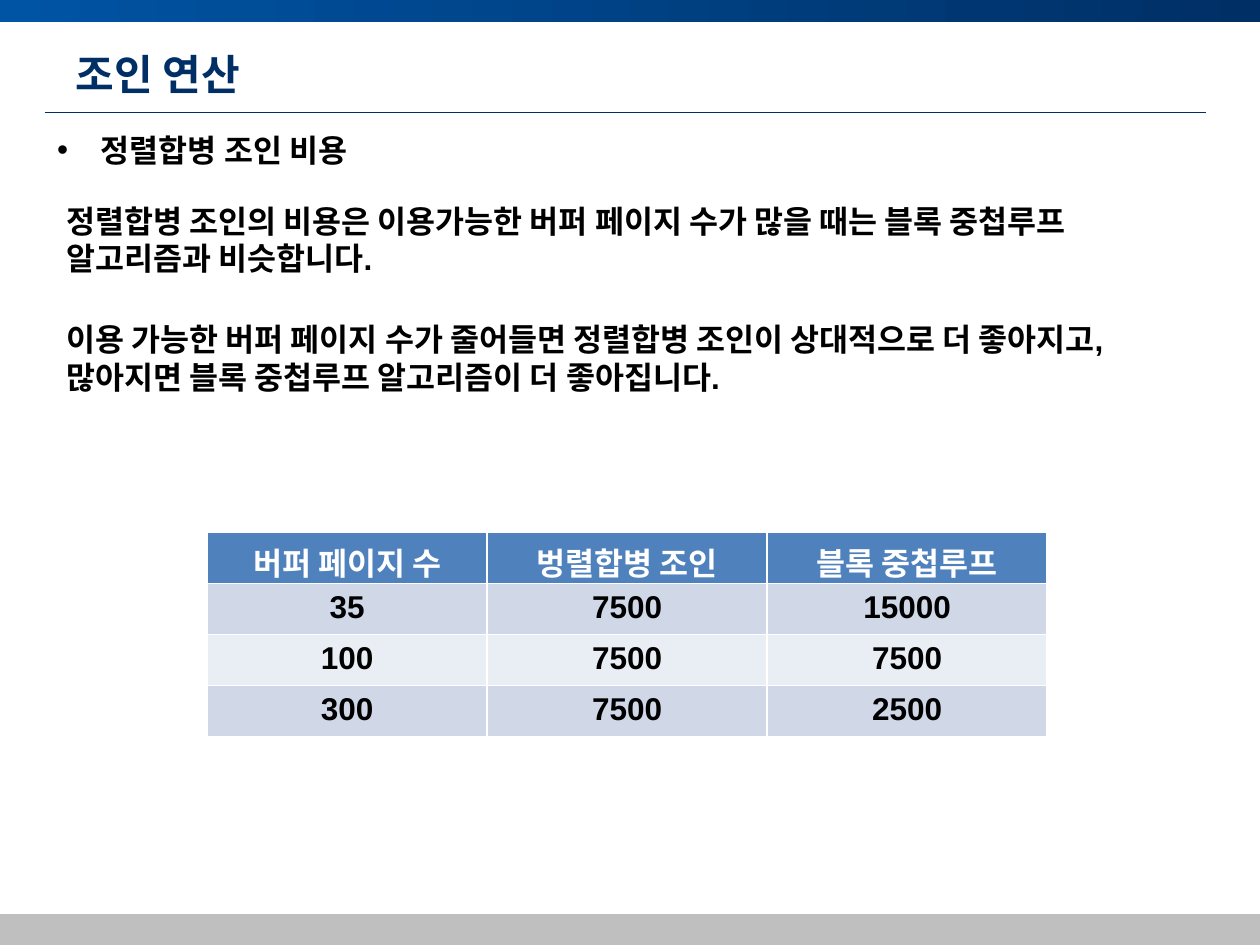
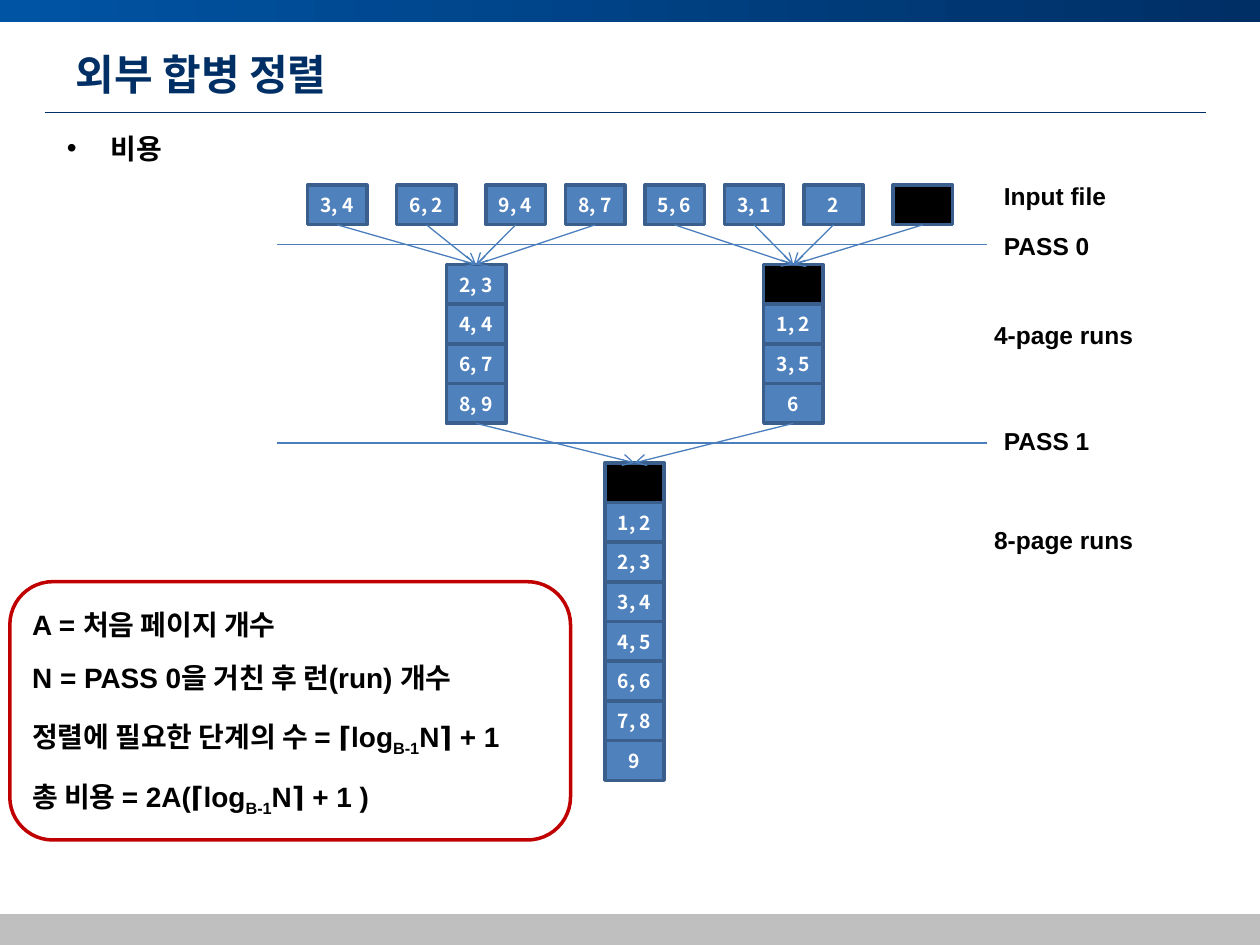
from itertools import accumulate

from lxml import etree
from pptx import Presentation
from pptx.dml.color import RGBColor
from pptx.enum import shapes, text
from pptx.oxml import ns
from pptx.util import Pt

COLORS = {
    "navy": "002F65", "blue": "0054A4", "footer": "BFBFBF",
    "black": "000000", "white": "FFFFFF", "page": "4F81BD",
    "page_edge": "3A5F8C", "link": "4B7EBC", "red": "C00000",
    "row_dark": "D0D8E8", "row_light": "E9EDF4",
}
LATIN, KOREAN = "Arial", "Noto Sans CJK KR"

JOIN = {
    "title": "조인 연산",
    "bullet": "정렬합병 조인 비용",
    "paragraphs": [
        (111.6, "정렬합병 조인의 비용은 이용가능한 버퍼 페이지 수가 많을 때는 블록 중첩루프 알고리즘과 비슷합니다."),
        (179.3, "이용 가능한 버퍼 페이지 수가 줄어들면 정렬합병 조인이 상대적으로 더 좋아지고, 많아지면 블록 중첩루프 알고리즘이 더 좋아집니다."),
    ],
    "table": [
        ("버퍼 페이지 수", "벙렬합병 조인", "블록 중첩루프"),
        ("35", "7500", "15000"),
        ("100", "7500", "7500"),
        ("300", "7500", "2500"),
    ],
}
SORT = {
    "title": "외부 합병 정렬",
    "bullet": "비용",
    "input": ["3, 4", "6, 2", "9, 4", "8, 7", "5, 6", "3, 1", "2", ""],
    "left_run": ["2, 3", "4, 4", "6, 7", "8, 9"],
    "right_run": ["", "1, 2", "3, 5", "6"],
    "final_run": ["", "1, 2", "2, 3", "3, 4", "4, 5", "6, 6", "7, 8", "9"],
    "labels": [
        (566.6, 100, "Input file"), (566.6, 128.2, "PASS 0"),
        (561, 179.3, "4-page runs"), (566.6, 239.8, "PASS 1"),
        (561, 296.6, "8-page runs"),
    ],
    "formulas": [
        (343.4, ["A = 처음 페이지 개수"]),
        (373.7, ["N = PASS 0을 거친 후 런(run) 개수"]),
        (407.5, ["정렬에 필요한 단계의 수 = ⌈log", "B-1", "N⌉ + 1"]),
        (442, ["총 비용 = 2A(⌈log", "B-1", "N⌉ + 1 )"]),
    ],
}
PAGE_WIDTH, PAGE_HEIGHT = 34, 22.68
INPUT_LEFT, INPUT_TOP = 175.7, 105.8
INPUT_STEPS = [51, 51, 45.4, 45.4, 45.4, 45.4, 51]
PASS_LINES = [139.7, 253.1]


def rgb(name):
    return RGBColor.from_string(COLORS[name])


def box(left, top, width, height):
    return Pt(left), Pt(top), Pt(width), Pt(height)


def add_run(paragraph, content, size, color="black", font=LATIN):
    run = paragraph.add_run()
    run.text = content
    run.font.size, run.font.bold, run.font.name = Pt(size), True, font
    run.font.color.rgb = rgb(color)
    properties = run._r.get_or_add_rPr()
    etree.SubElement(properties, ns.qn("a:ea")).set("typeface", KOREAN)
    return run


def add_shape(slide, kind, place, fill=None, line=None, line_width=2):
    shape = slide.shapes.add_shape(kind, *box(*place))
    shape.shadow.inherit = False
    if fill:
        shape.fill.solid()
        shape.fill.fore_color.rgb = rgb(fill)
    else:
        shape.fill.background()
    if line:
        shape.line.color.rgb = rgb(line)
        shape.line.width = Pt(line_width)
    else:
        shape.line.fill.background()
    return shape


def add_line(slide, start, end, color="link", width=0.75, arrow=False):
    ends = [Pt(value) for value in (*start, *end)]
    connector = slide.shapes.add_connector(shapes.MSO_CONNECTOR.STRAIGHT, *ends)
    connector.line.color.rgb = rgb(color)
    connector.line.width = Pt(width)
    properties = connector._element.spPr
    if arrow:
        line = properties.find(ns.qn("a:ln"))
        etree.SubElement(line, ns.qn("a:tailEnd")).set("type", "arrow")
    etree.SubElement(properties, ns.qn("a:effectLst"))
    return connector


def add_arrow(slide, source, target):
    arrow = add_line(slide, (0, 0), (1, 1), arrow=True)
    arrow.begin_connect(source, 2)
    arrow.end_connect(target, 0)


def add_text(slide, place, pieces, size):
    frame = slide.shapes.add_textbox(*box(*place)).text_frame
    frame.word_wrap = True
    frame.auto_size = text.MSO_AUTO_SIZE.SHAPE_TO_FIT_TEXT
    for index, piece in enumerate(pieces):
        run = add_run(frame.paragraphs[0], piece, size)
        if index % 2:
            run._r.get_or_add_rPr().set("baseline", "-25000")


def fill_placeholder(placeholder, place, content, size, **style):
    placeholder.left, placeholder.top, placeholder.width, placeholder.height = box(*place)
    frame = placeholder.text_frame
    frame.auto_size = text.MSO_AUTO_SIZE.NONE
    paragraph = frame.paragraphs[0]
    paragraph.alignment = text.PP_ALIGN.LEFT
    paragraph.space_before = Pt(0)
    add_run(paragraph, content, size, **style)
    return frame


def add_slide(presentation, content, bullet_place, bullet_size):
    slide = presentation.slides.add_slide(presentation.slide_layouts[1])
    rectangle = shapes.MSO_SHAPE.RECTANGLE
    band = add_shape(slide, rectangle, (0, 0, 720, 12.5))
    band.fill.gradient()
    band.fill.gradient_angle = 0
    for stop, position, color in zip(band.fill.gradient_stops, (0, 1), ("blue", "navy")):
        stop.position = position
        stop.color.rgb = rgb(color)
    add_line(slide, (25.5, 64.2), (689, 64.2), "navy", 0.5)
    add_shape(slide, rectangle, (0, 522.4, 720, 17.6), "footer")
    title = fill_placeholder(slide.shapes.title, (36, 21.3, 648, 41.5),
                             content["title"], 24, color="navy", font=KOREAN)
    title.vertical_anchor = text.MSO_ANCHOR.MIDDLE
    body = fill_placeholder(slide.placeholders[1], bullet_place,
                            content["bullet"], bullet_size)
    properties = body.paragraphs[0]._p.get_or_add_pPr()
    properties.set("marL", str(Pt(25)))
    properties.set("indent", str(-Pt(25)))
    return slide


def add_cost_table(slide, rows):
    table = slide.shapes.add_table(len(rows), len(rows[0]),
                                   *box(118.4, 304.2, 480, 116.8)).table
    for row_index, row in enumerate(rows):
        header = row_index == 0
        fill = "page" if header else ("row_light", "row_dark")[row_index % 2]
        for column_index, value in enumerate(row):
            cell = table.cell(row_index, column_index)
            cell.fill.solid()
            cell.fill.fore_color.rgb = rgb(fill)
            if header:
                cell.margin_bottom = Pt(0)
            paragraph = cell.text_frame.paragraphs[0]
            paragraph.alignment = text.PP_ALIGN.CENTER
            add_run(paragraph, value, 18, "white" if header else "black")


def add_page(slide, left, top, value):
    page = add_shape(slide, shapes.MSO_SHAPE.RECTANGLE,
                     (left, top, PAGE_WIDTH, PAGE_HEIGHT),
                     "page" if value else "black", "page_edge")
    if value:
        frame = page.text_frame
        frame.word_wrap = False
        frame.vertical_anchor = text.MSO_ANCHOR.MIDDLE
        frame.paragraphs[0].alignment = text.PP_ALIGN.CENTER
        add_run(frame.paragraphs[0], value, 11, "white", KOREAN)
    return page


def add_sorted_run(slide, left, top, values):
    return [add_page(slide, left, top + index * PAGE_HEIGHT, value)
            for index, value in enumerate(values)]


def build_join_slide(presentation):
    slide = add_slide(presentation, JOIN, (25.5, 71.3, 238.3, 29), 18)
    for top, sentence in JOIN["paragraphs"]:
        add_text(slide, (31, top, 656.6, 51), [sentence], 18)
    add_cost_table(slide, JOIN["table"])


def build_sort_slide(presentation):
    slide = add_slide(presentation, SORT, (31, 71.3, 292.3, 26.6), 16)
    lefts = accumulate(INPUT_STEPS, initial=INPUT_LEFT)
    inputs = [add_page(slide, left, INPUT_TOP, value)
              for left, value in zip(lefts, SORT["input"])]
    left_run = add_sorted_run(slide, 255.1, 151.2, SORT["left_run"])
    right_run = add_sorted_run(slide, 436.4, 151.2, SORT["right_run"])
    final_run = add_sorted_run(slide, 345.6, 264.5, SORT["final_run"])
    for top in PASS_LINES:
        add_line(slide, (564, top), (158.5, top))
    for left, top, label in SORT["labels"]:
        add_text(slide, (left, top, 122, 24.2), [label], 14)
    for index, page in enumerate(inputs):
        add_arrow(slide, page, (left_run if index < 4 else right_run)[0])
    for sorted_run in (left_run, right_run):
        add_arrow(slide, sorted_run[-1], final_run[0])
    add_shape(slide, shapes.MSO_SHAPE.ROUNDED_RECTANGLE,
              (5.6, 332.4, 320.4, 147.6), line="red")
    for top, pieces in SORT["formulas"]:
        add_text(slide, (11.3, top, 342.7, 26.6), pieces, 16)


def main():
    presentation = Presentation()
    presentation.slide_width, presentation.slide_height = Pt(720), Pt(540)
    build_join_slide(presentation)
    build_sort_slide(presentation)
    presentation.save("out.pptx")


if __name__ == "__main__":
    main()
